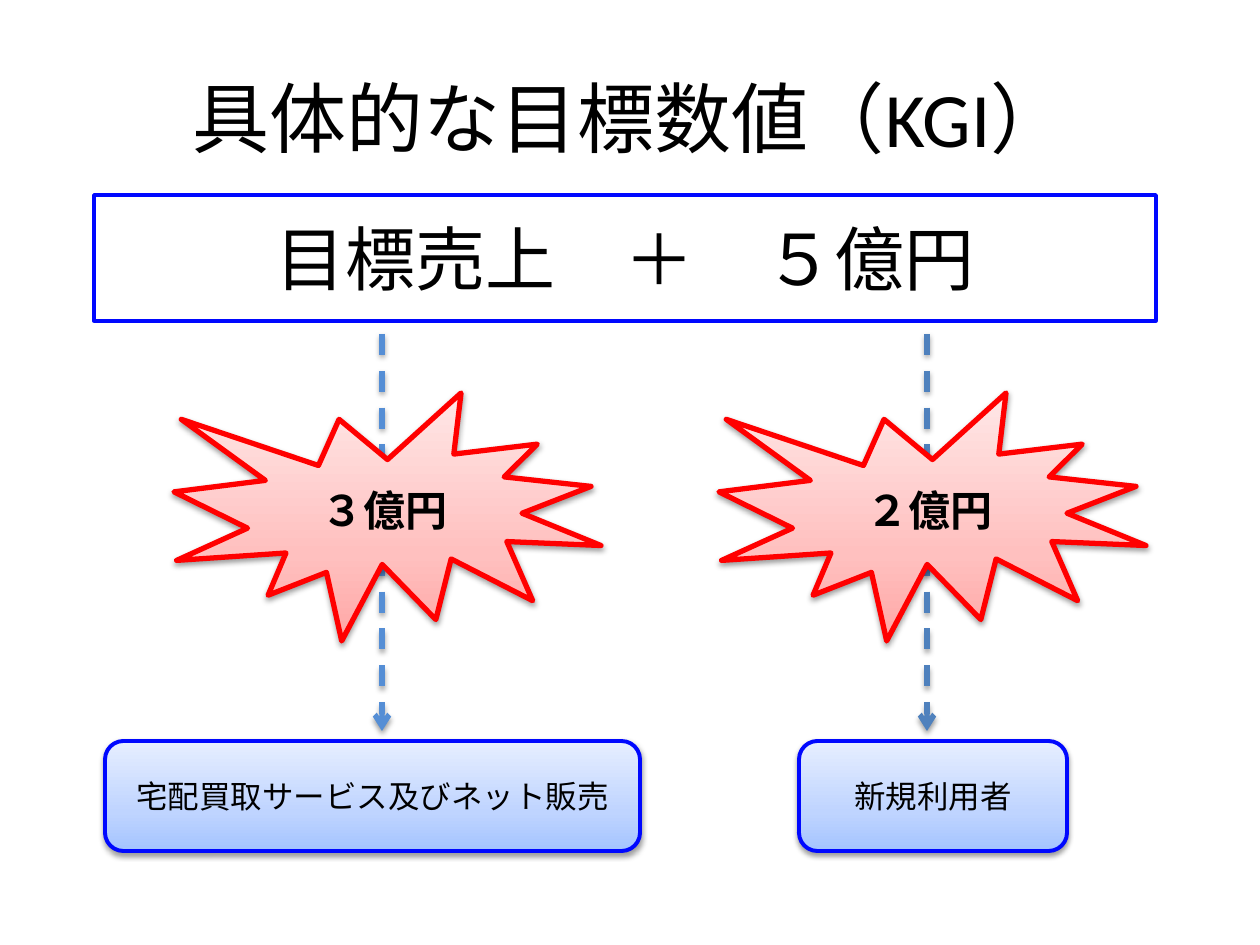
import pptx
import pptx.dml.color
import pptx.enum.dml
import pptx.enum.shapes
import pptx.enum.text
import pptx.oxml
import pptx.oxml.ns
import pptx.util
from lxml import etree

RGB = pptx.dml.color.RGBColor
SHAPE = pptx.enum.shapes.MSO_SHAPE
BLACK = RGB(0x00, 0x00, 0x00)
WHITE = RGB(0xFF, 0xFF, 0xFF)
BLUE = RGB(0x00, 0x08, 0xFF)
RED = RGB(0xFF, 0x00, 0x00)
LIGHT_ARROW = RGB(0x55, 0x8E, 0xD5)
DARK_ARROW = RGB(0x4F, 0x81, 0xBD)
BLUE_STOPS = [(0, RGB(0xA4, 0xC4, 0xFF)), (35, RGB(0xBF, 0xD4, 0xFF)), (100, RGB(0xE6, 0xEE, 0xFF))]
RED_STOPS = [(0, RGB(0xFF, 0xA6, 0xA5)), (35, RGB(0xFF, 0xC0, 0xBF)), (100, RGB(0xFF, 0xE7, 0xE7))]
EMU_PER_PX = 914400 / 126


def px(n):
    return pptx.util.Emu(round(n * EMU_PER_PX))


def add(parent, tag, **attrs):
    return etree.SubElement(parent, pptx.oxml.ns.qn(tag), attrs)


class Deck:
    font = "Calibri"

    def __init__(self, prs):
        self.s = prs.slides.add_slide(prs.slide_layouts[5])

    def place(self, sp, box):
        for name, value in zip(("left", "top", "width", "height"), box):
            setattr(sp, name, px(value))

    def text(self, sp, text, size, **style):
        tf = sp.text_frame
        tf.word_wrap = True
        tf.vertical_anchor = pptx.enum.text.MSO_ANCHOR.MIDDLE
        p = tf.paragraphs[0]
        p.alignment = pptx.enum.text.PP_ALIGN.CENTER
        r = p.add_run()
        r.text = text
        r.font.color.rgb = BLACK
        for name, value in {"name": self.font, "size": pptx.util.Pt(size), **style}.items():
            setattr(r.font, name, value)

    def shadow(self, effects):
        shade = add(effects, "a:outerShdw", blurRad="40000", dist="20000", dir="5400000", rotWithShape="0")
        add(add(shade, "a:srgbClr", val=str(BLACK)), "a:alpha", val="38000")

    def gradient(self, sp, stops):
        sp.fill.gradient()
        sp.fill.gradient_angle = 90
        gs_list = sp._element.spPr.find(".//" + pptx.oxml.ns.qn("a:gsLst"))
        for gs in list(gs_list):
            gs_list.remove(gs)
        for pos, color in stops:
            add(add(gs_list, "a:gs", pos=str(pos * 1000)), "a:srgbClr", val=str(color))

    def title(self, text, box):
        sp = self.s.shapes.title
        self.place(sp, box)
        self.text(sp, text, 44)

    def shape(self, kind, box, line, width, stops=None):
        sp = self.s.shapes.add_shape(kind, *map(px, box))
        if stops:
            self.gradient(sp, stops)
        else:
            sp.fill.solid()
            sp.fill.fore_color.rgb = WHITE
        sp.line.color.rgb = line
        sp.line.width = pptx.util.Pt(width)
        sp.shadow.inherit = False
        if stops:
            self.shadow(sp._element.spPr.find(pptx.oxml.ns.qn("a:effectLst")))
        return sp

    def target(self, text, box):
        self.text(self.shape(SHAPE.RECTANGLE, box, BLUE, 2), text, 40)

    def source(self, text, box):
        sp = self.shape(SHAPE.ROUNDED_RECTANGLE, box, BLUE, 2.25, BLUE_STOPS)
        self.text(sp, text, 18)

    def burst(self, text, box):
        sp = self.shape(SHAPE.EXPLOSION1, box, RED, 3, RED_STOPS)
        for side in ("left", "top", "right", "bottom"):
            setattr(sp.text_frame, "margin_" + side, 0)
        self.text(sp, text, 24, bold=True)

    def arrow(self, x, top, bottom, color):
        c = self.s.shapes.add_connector(
            pptx.enum.shapes.MSO_CONNECTOR.STRAIGHT, px(x), px(top), px(x), px(bottom))
        c.line.color.rgb = color
        c.line.width = pptx.util.Pt(3)
        c.line.dash_style = pptx.enum.dml.MSO_LINE.DASH
        add(c.line._get_or_add_ln(), "a:tailEnd", type="arrow")
        self.shadow(add(c._element.spPr, "a:effectLst"))


def main():
    prs = pptx.Presentation()
    prs.slide_width, prs.slide_height = px(1260), px(945)
    deck = Deck(prs)
    deck.title("具体的な目標数値（KGI）", (63, 38, 1134, 158))
    deck.source("宅配買取サービス及びネット販売", (105, 741, 535, 110))
    deck.source("新規利用者", (799, 741, 268, 110))
    deck.target("目標売上　＋　５億円", (94, 195, 1062, 126))
    columns = [(0, "３億円", LIGHT_ARROW), (545, "２億円", DARK_ARROW)]
    for shift, _, color in columns:
        deck.arrow(382 + shift, 334, 731, color)
    for shift, amount, _ in columns:
        deck.burst(amount, (174 + shift, 393, 427, 248))
    prs.save("out.pptx")


if __name__ == "__main__":
    main()
